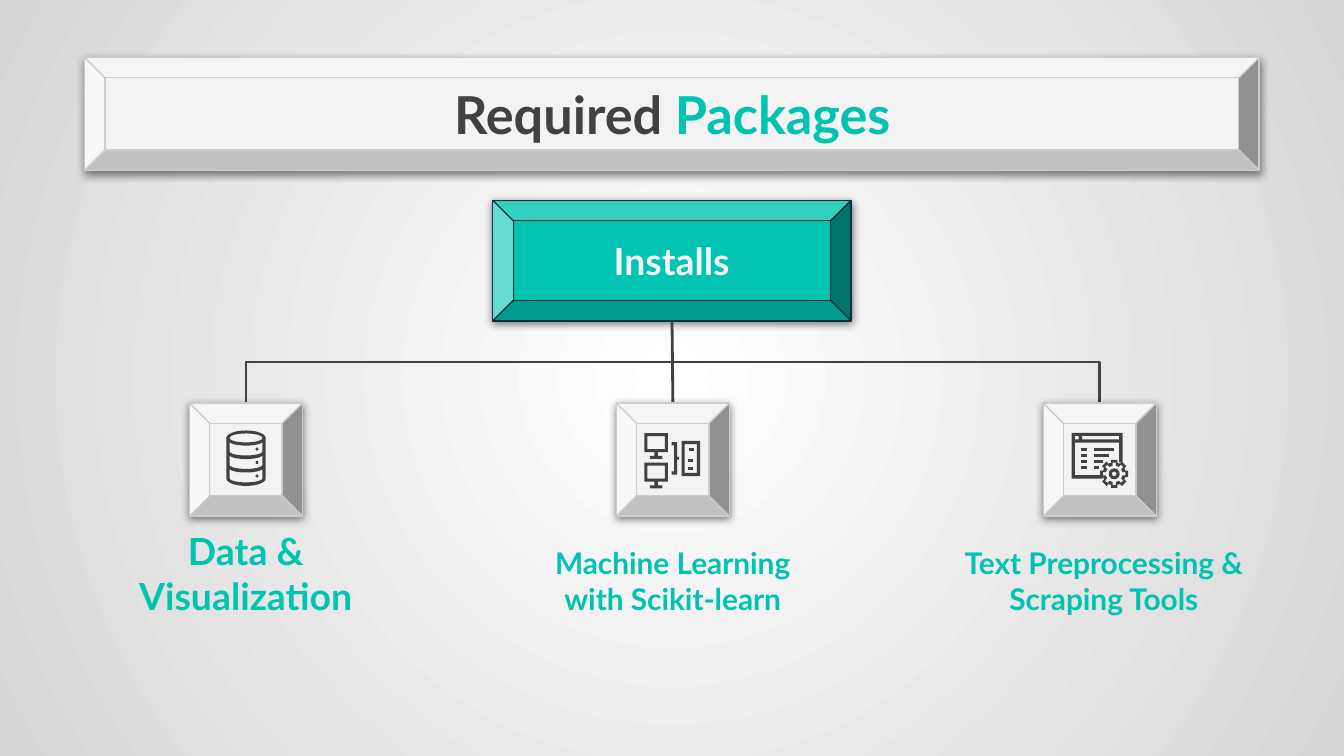
import math

import pptx
import pptx.util
import pptx.dml.color
import pptx.enum.shapes
import pptx.enum.text
import pptx.oxml
import pptx.oxml.ns

Pt = pptx.util.Pt
Kind = pptx.enum.shapes.MSO_SHAPE
Wire = pptx.enum.shapes.MSO_CONNECTOR
qn = pptx.oxml.ns.qn
NS = pptx.oxml.ns.nsdecls("a")
DARK, TEAL, PALE, GRAY, NAVY = "42413F", "00C3B1", "F3F3F3", "CCCCCC", "0C2E3A"
TILE = 60.5


def paint(fmt, color):
    """Give a fill, line or font one solid colour."""
    fill = getattr(fmt, "fill", fmt)
    fill.solid()
    fill.fore_color.rgb = pptx.dml.color.RGBColor.from_string(color)


def glow(slide):
    """Fill the background with a radial gradient."""
    fill = slide.background.fill
    fill.gradient()
    for stop, color, place in zip(fill.gradient_stops, ("FFFFFF", "D6D6D6"), (0, 1)):
        stop.color.rgb = pptx.dml.color.RGBColor.from_string(color)
        stop.position = place
    grad = next(slide.element.iter(qn("a:gradFill")))
    grad.replace(grad.find(qn("a:lin")), pptx.oxml.parse_xml(
        f'<a:path {NS} path="circle">'
        '<a:fillToRect l="50000" t="50000" r="50000" b="50000"/></a:path>'))


def bevel(slide, box, fill, edge, depth):
    """Add a bevelled panel with a soft shadow below."""
    panel = slide.shapes.add_shape(Kind.BEVEL, *map(Pt, box))
    panel.adjustments[0] = depth
    paint(panel.fill, fill)
    paint(panel.line, edge)
    panel.line.width = Pt(0.75)
    panel.shadow.inherit = False
    panel.element.spPr.find(qn("a:effectLst")).append(pptx.oxml.parse_xml(
        f'<a:outerShdw {NS} blurRad="{Pt(4.5)}" dist="{Pt(1.5)}" dir="5400000" '
        'algn="bl" rotWithShape="0"><a:srgbClr val="000000">'
        '<a:alpha val="50000"/></a:srgbClr></a:outerShdw>'))
    return panel


def label(slide, box, parts, size, pad=7.2):
    """Add centred bold text made of (words, colour) parts."""
    frame = slide.shapes.add_textbox(*map(Pt, box)).text_frame
    frame.word_wrap = True
    frame.vertical_anchor = pptx.enum.text.MSO_ANCHOR.MIDDLE
    frame.margin_top = frame.margin_bottom = Pt(pad)
    line = frame.paragraphs[0]
    line.alignment = pptx.enum.text.PP_ALIGN.CENTER
    for words, color in parts:
        run = line.add_run()
        run.text = words
        run.font.name, run.font.size, run.font.bold = "Lato", Pt(size), True
        paint(run.font, color)


def rect(x, y, w, h):
    """Return the corners of a rectangle."""
    return [(x, y), (x + w, y), (x + w, y + h), (x, y + h)]


def arc(x, y, rx, ry, start=0, end=360):
    """Return points along an elliptic arc, angles in degrees."""
    turns = [math.radians(start + (end - start) * i / 24) for i in range(25)]
    return [(x + rx * math.cos(t), y + ry * math.sin(t)) for t in turns]


def cog(tip, root, half):
    """Return the outline of a cog with eight teeth."""
    tooth = [(tip, -half), (tip, half), (root, half + 3), (root, 42 - half)]
    spots = [(r, math.radians(45 * i + a)) for i in range(8) for r, a in tooth]
    return [(r * math.cos(t), r * math.sin(t)) for r, t in spots]


def trace(slide, x, y, *loops):
    """Draw one dark outline whose inner loops are holes."""
    paths = [[(Pt(x + a), Pt(y + b)) for a, b in loop] for loop in loops]
    pen = slide.shapes.build_freeform(*paths[0][0], scale=1.0)
    for i, path in enumerate(paths):
        if i:
            pen.move_to(*path[0])
        pen.add_line_segments(path[1:], close=True)
    form = pen.convert_to_shape()
    paint(form.fill, DARK)
    form.line.fill.background()
    form.shadow.inherit = False


def store(slide, x, y):
    """Draw a database drum around a centre."""
    bands = [arc(0, s - 9.7, 8.8, 2.2, 180, 0) + arc(0, s - 4.4, 8.8, 2.2, 0, 180)
             for s in (0, 7.2, 14.4)]
    drum = arc(0, -11.6, 10.5, 4, 180, 360) + arc(0, 10.1, 10.5, 4, 0, 180)
    trace(slide, x, y, drum, arc(0, -11.6, 8.8, 2.4), *bands)
    for i in range(3):
        trace(slide, x, y, arc(5.9, 7.2 * i - 5.6, 0.8, 0.8))


def network(slide, x, y):
    """Draw two screens joined to a server around a centre."""
    side = [(0, 0), (0, 10.2), (5.4, 10.2), (5.4, 12.2), (3, 12.2), (3, 13.8)]
    screen = side + [(12.6 - a, b) for a, b in reversed(side)]
    for top in (-14.2, 1.6):
        trace(slide, x - 15.3, y + top, screen, rect(1.6, 1.6, 9.4, 7))
    trace(slide, x - 0.7, y - 9.3, [
        (0, 0), (0, 1.7), (1.4, 1.7), (1.4, 15.6), (0, 15.6), (0, 17.3),
        (3, 17.3), (3, 9.4), (4, 9.4), (4, 7.8), (3, 7.8), (3, 0)])
    trace(slide, x + 4.6, y - 10, rect(0, 0, 10, 18.8), rect(1.7, 1.7, 6.6, 15.4))
    for left, top in ((8.6, -6.2), (8.2, -0.5), (8.2, 3.8)):
        trace(slide, x, y, rect(left, top, 2.6, 1.6))


def window(slide, x, y):
    """Draw a text window with a cog around a centre."""
    frame = [(-15.1, -14.3), (12.2, -14.3), (12.2, 1.4), (10.4, 1.4), (10.4, -9.1),
             (-13.3, -9.1), (-13.3, 8.3), (1.5, 8.3), (1.5, 10.1), (-15.1, 10.1)]
    trace(slide, x, y, frame, rect(-13.3, -12.7, 2, 1.9), rect(-9.5, -12.7, 19.9, 1.9))
    trace(slide, x + 7.7, y + 7.6, cog(7.7, 6.2, 13), cog(6.1, 4.5, 8),
          arc(0, 0, 2.9, 2.9), arc(0, 0, 1.2, 1.2))
    for i, wide in enumerate((11, 8.4, 5, 3)):
        for left, width in ((-10, 3.3), (-3.3, wide)):
            trace(slide, x, y, rect(left, 3.3 * i - 6.3, width, 1.6))


def link(slide, root, x, y, bent):
    """Join the foot of the root panel to the top of a tile."""
    left, top = root.left.pt + root.width.pt / 2, root.top.pt + root.height.pt
    kind = Wire.ELBOW if bent else Wire.STRAIGHT
    wire = slide.shapes.add_connector(kind, *map(Pt, (left, top, x, y)))
    paint(wire.line, DARK)
    wire.line.width = Pt(1.5)
    wire.element.spPr.append(pptx.oxml.parse_xml(f"<a:effectLst {NS}/>"))
    if not bent:
        wire.begin_connect(root, 2)
        return
    wide, tall = abs(x - left), y - top
    wire.left, wire.top = Pt((left + x - tall) / 2), Pt((top + y - wide) / 2)
    wire.width, wire.height = Pt(tall), Pt(wide)
    form = wire.element.spPr.find(qn("a:xfrm"))
    form.set("rot", str((270 if x > left else 90) * 60000))
    form.set("flipH", "1" if x > left else "0")


def branch(slide, root, x, y, icon, words, size, box, bent):
    """Add a tile centred on x with its link, icon and caption."""
    link(slide, root, x, y, bent)
    bevel(slide, (x - TILE / 2, y, TILE, TILE), PALE, GRAY, 0.18)
    icon(slide, x, y + TILE / 2)
    left, width, height = box
    label(slide, (x + left, y + 64.8, width, height), [(words, TEAL)], size)


def main():
    """Build the slide and save it."""
    deck = pptx.Presentation()
    deck.slide_width, deck.slide_height = Pt(720), Pt(405)
    slide = deck.slides.add_slide(deck.slide_layouts[6])
    glow(slide)
    bevel(slide, (45.3, 30.8, 629.3, 60.5), PALE, GRAY, 0.18)
    label(slide, (56.6, 42.8, 607, 36), [("Required ", DARK), ("Packages", TEAL)], 28)
    root = bevel(slide, (264, 107.3, 192, 64.6), TEAL, NAVY, 0.17)
    label(slide, (274.3, 107.3, 171, 64.6), [("Installs", PALE)], 20, 3.6)
    groups = [
        (store, "Data & Visualization", 20, (-82.9, 165.6, 52.6), True),
        (network, "Machine Learning with Scikit-learn", 16, (-74.2, 148.3, 60.5), False),
        (window, "Text Preprocessing & Scraping Tools", 16, (-83.1, 170.6, 60.5), True),
    ]
    for i, group in enumerate(groups):
        branch(slide, root, 131.8 + 228.7 * i, 216, *group)
    deck.save("out.pptx")


if __name__ == "__main__":
    main()
